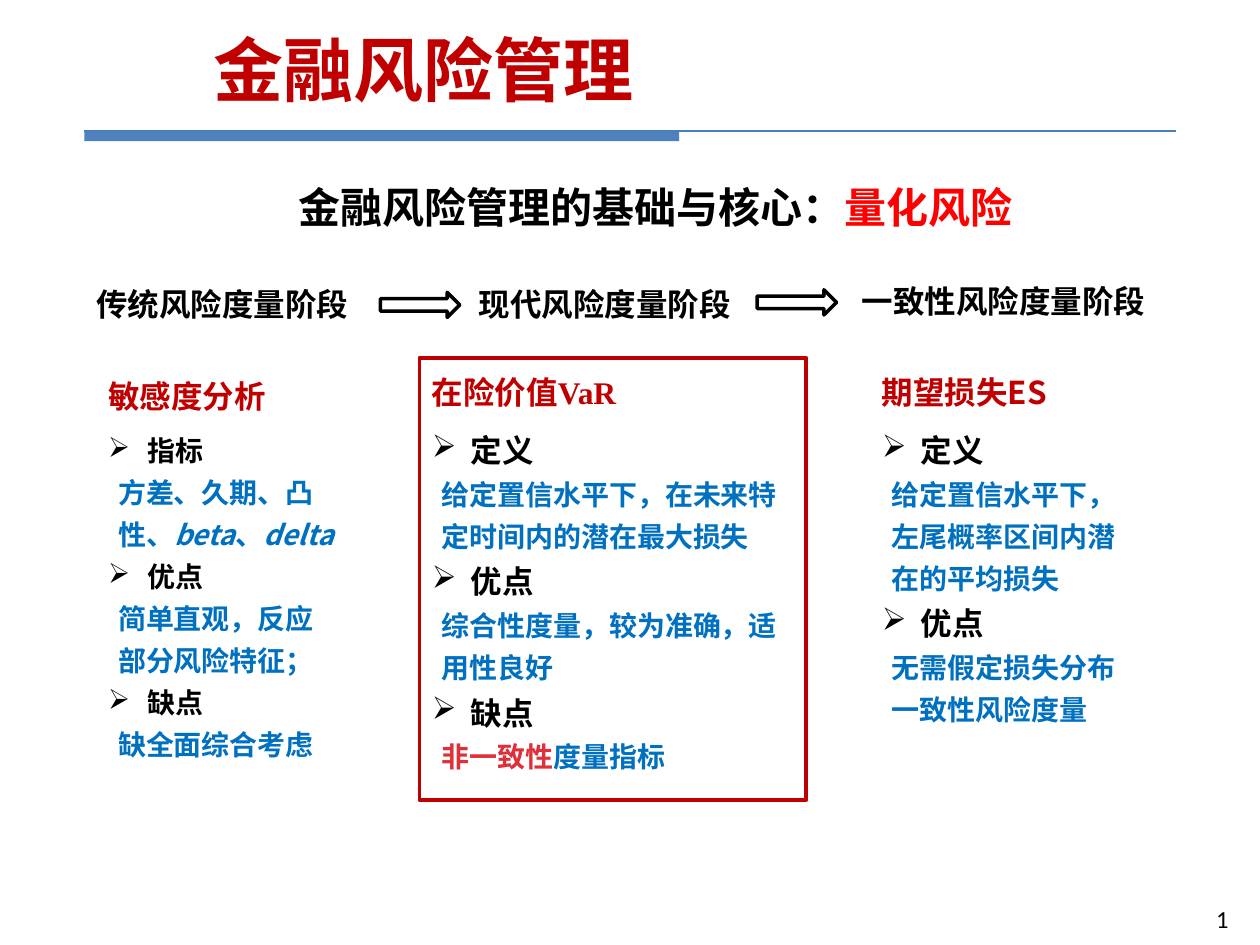
from dataclasses import dataclass
from typing import NamedTuple

from lxml.etree import SubElement
from pptx import Presentation
from pptx.dml.color import RGBColor
from pptx.enum.shapes import MSO_CONNECTOR, MSO_SHAPE
from pptx.enum.text import MSO_ANCHOR, PP_ALIGN
from pptx.oxml.ns import qn
from pptx.util import Emu, Inches, Pt

COLORS = {
    "title": "C00000", "text": "000000", "detail": "0070C0", "key": "FF0000",
    "warning": "DF2F39", "bar": "4F81BD", "rule": "4B7EBC", "arrow": "FFFFFF",
}
CJK_FONT = "Noto Sans CJK SC"
COLUMNS, ROWS = 100, 75  # grid laid over the slide

presentation = Presentation()
presentation.slide_width, presentation.slide_height = Inches(10), Inches(7.5)
slide = presentation.slides.add_slide(presentation.slide_layouts[6])


class Box(NamedTuple):
    """A place on the grid: left column, top row, columns wide, rows high."""
    left: float
    top: float
    width: float
    height: float

    def lengths(self) -> list[Emu]:
        column = presentation.slide_width / COLUMNS
        row = presentation.slide_height / ROWS
        return [Emu(round(count * unit))
                for count, unit in zip(self, (column, row, column, row))]


class Run(NamedTuple):
    text: str
    color: str
    size: float = 16
    bold: bool = True
    italic: bool = False
    font: str = CJK_FONT


class Topic(NamedTuple):
    label: str
    details: list[Run]


@dataclass
class Method:
    """One column: a heading and its bulleted topics."""
    box: Box
    heading: str
    topics: list[Topic]
    label_size: float = 18
    align: PP_ALIGN = PP_ALIGN.JUSTIFY
    heading_font: str = CJK_FONT
    framed: bool = False


def rgb(name: str) -> RGBColor:
    return RGBColor.from_string(COLORS[name])


def fill_paragraph(paragraph, runs: list[Run], align: PP_ALIGN) -> None:
    paragraph.alignment = align
    for item in runs:
        run = paragraph.add_run()
        run.text = item.text
        font = run.font
        font.name, font.size = item.font, Pt(item.size)
        font.bold, font.italic = item.bold, item.italic
        font.color.rgb = rgb(item.color)
        SubElement(font._element, qn("a:ea")).set("typeface", CJK_FONT)


def add_text(box: Box, runs: list[Run], align=PP_ALIGN.CENTER, anchor=MSO_ANCHOR.TOP) -> None:
    frame = slide.shapes.add_textbox(*box.lengths()).text_frame
    frame.word_wrap, frame.vertical_anchor = True, anchor
    fill_paragraph(frame.paragraphs[0], runs, align)


def add_preset(kind: MSO_SHAPE, box: Box, fill: str = "", line: str = "", width: float = 0):
    shape = slide.shapes.add_shape(kind, *box.lengths())
    shape.shadow.inherit = False
    if fill:
        shape.fill.solid()
        shape.fill.fore_color.rgb = rgb(fill)
    else:
        shape.fill.background()
    if line:
        shape.line.color.rgb = rgb(line)
        shape.line.width = Pt(width)
    else:
        shape.line.fill.background()
    return shape


def add_rule(left: float, right: float, row: float) -> None:
    x, y, length, _ = Box(left, row, right - left, 0).lengths()
    line = slide.shapes.add_connector(MSO_CONNECTOR.STRAIGHT, x, y, x + length, y)
    line.line.color.rgb = rgb("rule")
    line.line.width = Pt(1.5)
    SubElement(line._element.spPr, qn("a:effectLst"))


def indent(paragraph, margin: float, first: float) -> None:
    properties = paragraph._p.get_or_add_pPr()
    properties.set("marL", str(Inches(margin)))
    properties.set("indent", str(Inches(first)))


def add_method(method: Method) -> None:
    if method.framed:
        shape = add_preset(MSO_SHAPE.RECTANGLE, method.box, line="title", width=2.25)
    else:
        shape = slide.shapes.add_textbox(*method.box.lengths())
    frame = shape.text_frame
    frame.word_wrap, frame.vertical_anchor = True, MSO_ANCHOR.TOP

    heading = frame.paragraphs[0]
    heading.space_before = heading.space_after = Pt(6)
    fill_paragraph(heading, [Run(method.heading, "title", 18, font=method.heading_font)],
                   method.align)
    for topic in method.topics:
        label = frame.add_paragraph()
        fill_paragraph(label, [Run(topic.label, "text", method.label_size)], method.align)
        indent(label, 0.31, -0.31)
        SubElement(label._p.get_or_add_pPr(), qn("a:buChar")).set("char", "➢")
        detail = frame.add_paragraph()
        fill_paragraph(detail, topic.details, PP_ALIGN.LEFT)
        indent(detail, 0.08, 0)
    for paragraph in frame.paragraphs:
        paragraph.line_spacing = 1.25


STAGES = [
    (Box(6.5, 22.1, 22.3, 4), "传统风险度量阶段"),
    (Box(36.7, 22.1, 22.6, 4), "现代风险度量阶段"),
    (Box(67.1, 21.9, 25.1, 4), "一致性风险度量阶段"),
]
ARROWS = [Box(30.2, 23.2, 6.3, 2), Box(60.1, 23, 6.3, 2)]
METHODS = [
    Method(Box(7.6, 28.7, 20.3, 32.6), "敏感度分析", [
        Topic("指标", [Run("方差、久期、凸性、", "detail"), Run("beta", "detail", italic=True),
                     Run("、", "detail"), Run("delta", "detail", italic=True)]),
        Topic("优点", [Run("简单直观，反应部分风险特征；", "detail")]),
        Topic("缺点", [Run("缺全面综合考虑", "detail")]),
    ], label_size=16, align=PP_ALIGN.LEFT),
    Method(Box(33.3, 28.4, 30.7, 35.1), "在险价值VaR", [
        Topic("定义", [Run("给定置信水平下，在未来特定时间内的潜在最大损失", "detail")]),
        Topic("优点", [Run("综合性度量，较为准确，适用性良好", "detail")]),
        Topic("缺点", [Run("非一致性", "warning"), Run("度量指标", "detail")]),
    ], heading_font="Times New Roman", framed=True),
    Method(Box(69, 28.4, 21.3, 30), "期望损失ES", [
        Topic("定义", [Run("给定置信水平下，左尾概率区间内潜在的平均损失", "detail")]),
        Topic("优点", [Run("无需假定损失分布一致性风险度量", "detail")]),
    ]),
]

add_text(Box(16, 1.6, 66.3, 7.7), [Run("金融风险管理", "title", 40)], PP_ALIGN.LEFT)
add_preset(MSO_SHAPE.RECTANGLE, Box(6.7, 10.4, 47.2, 0.8), fill="bar")
add_rule(6.7, 93.3, 10.4)
add_text(Box(94.1, 70.9, 4.4, 4), [Run("1", "text", 14, bold=False, font="Calibri")],
         PP_ALIGN.RIGHT, MSO_ANCHOR.MIDDLE)
add_text(Box(18.9, 13.9, 66.2, 5),
         [Run("金融风险管理的基础与核心：", "text", 24), Run("量化风险", "key", 24)])
for stage_box, stage_name in STAGES:
    add_text(stage_box, [Run(stage_name, "text", 18)])
for column in METHODS:
    add_method(column)
for arrow_box in ARROWS:
    add_preset(MSO_SHAPE.RIGHT_ARROW, arrow_box, fill="arrow", line="text", width=2)

presentation.save("out.pptx")
